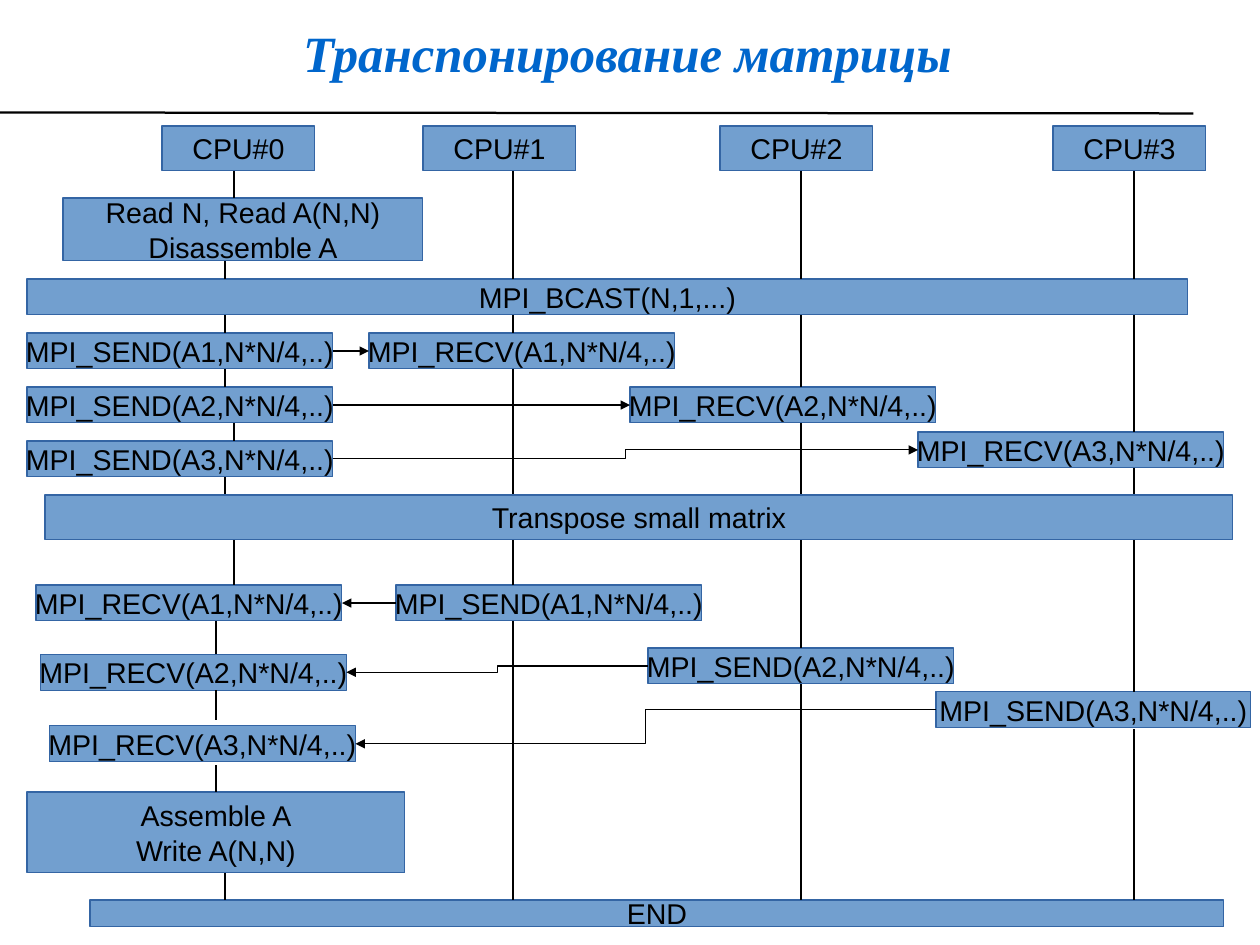
from dataclasses import dataclass

from lxml import etree
from pptx import Presentation
from pptx.dml.color import RGBColor
from pptx.enum.shapes import MSO_CONNECTOR, MSO_SHAPE
from pptx.enum.text import MSO_ANCHOR, MSO_AUTO_SIZE, PP_ALIGN
from pptx.oxml.ns import qn
from pptx.util import Cm, Pt

RECTANGLE = MSO_SHAPE.RECTANGLE
STRAIGHT = MSO_CONNECTOR.STRAIGHT
ELBOW = MSO_CONNECTOR.ELBOW
MIDDLE = MSO_ANCHOR.MIDDLE
NO_AUTOFIT = MSO_AUTO_SIZE.NONE
CENTER = PP_ALIGN.CENTER

BLACK = "000000"
TITLE_BLUE = "0066CC"
BOX_FILL = "729FCF"
BOX_LINE = "3465A4"

LANE_1, LANE_2, LANE_3 = 11.4, 17.8, 25.2
CALL_WIDTH, CALL_HEIGHT = 6.8, 0.8


@dataclass
class Box:
    left: float
    top: float
    width: float
    height: float

    def inner(self, left, top, width, height):
        return Box(self.left + left, self.top + top, width, height)


def color(value):
    return RGBColor.from_string(value)


def draw_step(page, box, *lines):
    shape = page.shapes.add_shape(
        RECTANGLE, Cm(box.left), Cm(box.top), Cm(box.width), Cm(box.height))
    shape.shadow.inherit = False
    shape.fill.solid()
    shape.fill.fore_color.rgb = color(BOX_FILL)
    shape.line.color.rgb = color(BOX_LINE)
    shape.line.width = Pt(0.75)
    frame = shape.text_frame
    frame.word_wrap = False
    frame.vertical_anchor = MIDDLE
    frame.text = "\n".join(lines)
    for para in frame.paragraphs:
        para.alignment = CENTER
        para.font.name = "Arial"
        para.font.size = Pt(18)
        para.font.color.rgb = color(BLACK)


def draw_line(page, start, end, width=0.75, arrow=False):
    kind = ELBOW if arrow and start[1] != end[1] else STRAIGHT
    line = page.shapes.add_connector(kind, *(Cm(value) for value in (*start, *end)))
    line.line.color.rgb = color(BLACK)
    line.line.width = Pt(width)
    if arrow:
        etree.SubElement(line.line._get_or_add_ln(), qn("a:tailEnd"), type="triangle")
    etree.SubElement(line._element.spPr, qn("a:effectLst"))


def draw_lifelines(page, box, segments):
    for x, start, end in segments:
        draw_line(page, (box.left + x, box.top + start), (box.left + x, box.top + end))


def draw_messages(page, box, messages, to_right):
    left_call, right_call = ("SEND", "RECV") if to_right else ("RECV", "SEND")
    for number, (left, left_top, right, right_top, right_width) in enumerate(messages, 1):
        local = box.inner(left, left_top, CALL_WIDTH, CALL_HEIGHT)
        remote = box.inner(right, right_top, right_width, CALL_HEIGHT)
        draw_step(page, local, f"MPI_{left_call}(A{number},N*N/4,..)")
        draw_step(page, remote, f"MPI_{right_call}(A{number},N*N/4,..)")
        ends = [(local.left + local.width, local.top + CALL_HEIGHT / 2),
                (remote.left, remote.top + CALL_HEIGHT / 2)]
        start, end = ends if to_right else reversed(ends)
        draw_line(page, start, end, arrow=True)


def draw_title(page, box):
    title = page.shapes.title
    title.left, title.top = Cm(box.left), Cm(box.top)
    title.width, title.height = Cm(box.width), Cm(box.height)
    frame = title.text_frame
    frame.margin_left = frame.margin_right = frame.margin_top = frame.margin_bottom = 0
    frame.word_wrap = True
    frame.auto_size = NO_AUTOFIT
    frame.vertical_anchor = MIDDLE
    frame.text = "Транспонирование матрицы"
    para = frame.paragraphs[0]
    para.alignment = CENTER
    para.line_spacing = 1.16
    para.font.name = "Times New Roman"
    para.font.size = Pt(32)
    para.font.bold = True
    para.font.italic = True
    para.font.color.rgb = color(TITLE_BLUE)
    rule = box.top + box.height + 0.4
    draw_line(page, (0, rule), (26.52, rule + 0.02), width=1.42)


def draw_setup(page, box):
    for number, left in enumerate((3.6, 9.4, 16, 23.4)):
        draw_step(page, box.inner(left, 0, 3.4, 1), f"CPU#{number}")
    draw_step(page, box.inner(1.4, 1.6, 8, 1.4), "Read N, Read A(N,N)", "Disassemble A")
    draw_step(page, box.inner(0.6, 3.4, 25.8, 0.8), "MPI_BCAST(N,1,...)")
    draw_lifelines(page, box, [
        (5.2, 1, 1.6), (5, 3, 3.4),
        (LANE_1, 1, 3.4), (LANE_2, 1, 3.4), (LANE_3, 1, 3.4)])


def draw_scatter(page, box):
    draw_messages(page, box, [
        (0.6, 0.4, 8.2, 0.4, CALL_WIDTH),
        (0.6, 1.6, 14, 1.6, CALL_WIDTH),
        (0.6, 2.8, 20.4, 2.6, CALL_WIDTH)], to_right=True)
    draw_lifelines(page, box, [
        (5, 0, 0.4), (5, 1.2, 1.6), (5.2, 2.4, 2.8), (5, 3.6, 4),
        (LANE_1, 0, 0.4), (LANE_1, 1.2, 4),
        (LANE_2, 0, 1.6), (LANE_2, 2.4, 4),
        (LANE_3, 0, 2.6), (LANE_3, 3.4, 4)])


def draw_gather(page, box):
    draw_step(page, box.inner(1, 0, 26.4, 1), "Transpose small matrix")
    draw_messages(page, box, [
        (0.8, 2, 8.8, 2, CALL_WIDTH),
        (0.9, 3.54, 14.4, 3.4, CALL_WIDTH),
        (1.1, 5.13, 20.8, 4.37, 7)], to_right=False)
    draw_step(page, box.inner(0.6, 6.6, 8.4, 1.8), "Assemble A", "Write A(N,N)")
    draw_step(page, box.inner(2, 9, 25.2, 0.6), "END")
    draw_lifelines(page, box, [
        (5.2, 1, 2), (4.8, 2.8, 3.54), (4.8, 4.34, 5), (4.8, 6, 6.6), (5, 8.4, 9),
        (LANE_1, 1, 2), (LANE_1, 2.8, 9),
        (LANE_2, 1, 3.4), (LANE_2, 4.2, 9),
        (LANE_3, 1, 4.37), (LANE_3, 5.2, 9)])


def main():
    deck = Presentation()
    deck.slide_width, deck.slide_height = Cm(28), Cm(21)
    page = deck.slides.add_slide(deck.slide_layouts[5])
    draw_title(page, Box(0.2, 0, 27.5, 2.1))
    draw_setup(page, Box(0, 2.8, 28, 4.2))
    draw_scatter(page, Box(0, 7, 28, 4))
    draw_gather(page, Box(0, 11, 28, 9.6))
    deck.save("out.pptx")


if __name__ == "__main__":
    main()
